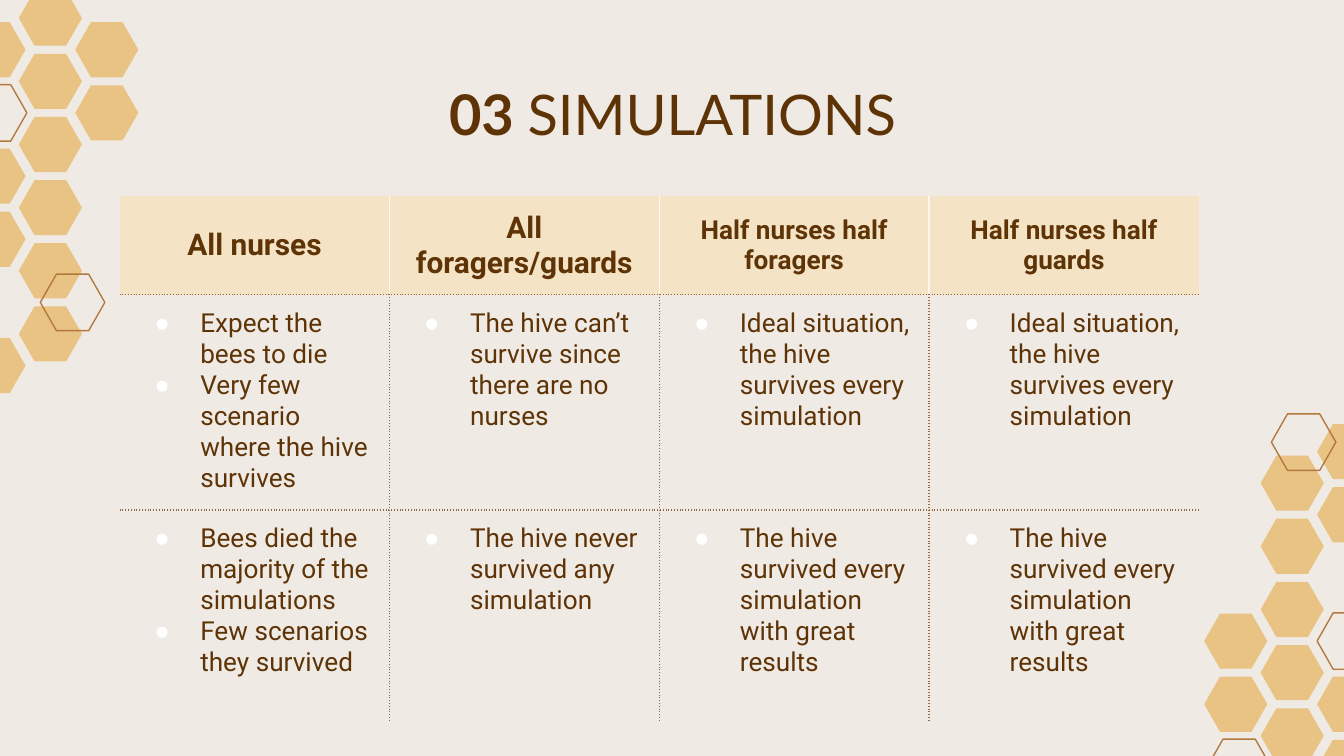
"""Build the bee simulations slide: title, results table and honeycomb corners."""
import lxml.etree
import pptx
import pptx.dml.color
import pptx.enum.text
import pptx.oxml.ns
import pptx.util

COLORS = {"page": "F0EAE5", "honey": "E9C383", "outline": "B3783D", "ink": "5E3407",
          "header": "F4E3C5", "divider": "FFF7EE", "dots": "916A43", "bullet": "FFFFFF"}
TITLE = [("03 ", True), ("SIMULATIONS", False)]
HEADERS = [("All nurses", 16), ("All foragers/guards", 16),
           ("Half nurses half foragers", 14), ("Half nurses half guards", 14)]
RESULTS = [
    [["Expect the bees to die", "Very few scenario where the hive survives"],
     ["The hive can’t survive since there are no nurses"],
     ["Ideal situation, the hive survives every simulation"],
     ["Ideal situation, the hive survives every simulation"]],
    [["Bees died the majority of the simulations", "Few scenarios they survived"],
     ["The hive never survived any simulation"],
     ["The hive survived every simulation with great results"],
     ["The hive survived every simulation with great results"]],
]
HONEYCOMBS = [
    {"origin": (0.14, -0.07),
     "cells": {-1: [0.5, 2.5, 3.5, 5.5], 0: [0, 1, 2, 3, 4, 5], 1: [0.5, 1.5]}},
    {"origin": (9.38, 3.39),
     "cells": {-1: [2.5, 3.5], 0: [0, 1, 2, 3, 4], 1: [-0.5, 0.5, 3.5, 4.5]}},
]
OUTLINED = [(-0.28, 0.63), (0.3, 2.04), (8.98, 5.5), (9.8, 4.56), (9.46, 3.08)]
COLUMN_PITCH, ROW_PITCH = 0.42, 0.47
HEXAGON = [(0, 0.5), (0.25, 0), (0.75, 0), (1, 0.5), (0.75, 1), (0.25, 1)]
SLIDE_WIDTH = 10
SLIDE_HEIGHT = SLIDE_WIDTH * 9 / 16
TABLE_LEFT, TABLE_TOP, TABLE_WIDTH = 0.89, 1.46, 8.03
ROW_HEIGHTS = [0.71, 1.58, 1.57]
MARGINS = {side: pptx.util.Inches(0.1)
           for side in ("margin_left", "margin_right", "margin_top", "margin_bottom")}


def inches(*values):
    return [pptx.util.Inches(value) for value in values]


def rgb(name):
    return pptx.dml.color.RGBColor.from_string(COLORS[name])


def apply(target, values):
    for name, value in values.items():
        setattr(target, name, value)


def add_span(para, text, font, size, bold):
    span = para.add_run()
    span.text = text
    apply(span.font, {"name": font, "size": pptx.util.Pt(size), "bold": bold})
    span.font.color.rgb = rgb("ink")


def add_element(parent, tag, **attributes):
    return lxml.etree.SubElement(parent, pptx.oxml.ns.qn(tag), attributes)


def add_hexagon(page, left, top, width, height, filled):
    corners = [tuple(inches(left + x * width, top + y * height)) for x, y in HEXAGON]
    builder = page.shapes.build_freeform(*corners[0])
    builder.add_line_segments(corners[1:], close=True)
    shape = builder.convert_to_shape()
    shape.shadow.inherit = False
    if filled:
        shape.fill.solid()
        shape.fill.fore_color.rgb = rgb("honey")
        shape.line.fill.background()
    else:
        shape.fill.background()
        shape.line.color.rgb = rgb("outline")
        shape.line.width = pptx.util.Pt(0.75)


def add_honeycombs(page):
    for comb in HONEYCOMBS:
        left, top = comb["origin"]
        for column, rows in comb["cells"].items():
            for row in rows:
                add_hexagon(page, left + column * COLUMN_PITCH, top + row * ROW_PITCH,
                            0.47, 0.41, True)
    for left, top in OUTLINED:
        add_hexagon(page, left, top, 0.48, 0.42, False)


def add_title(page):
    box = page.shapes.add_textbox(*inches(0.79, 0.49, 8.43, 0.63))
    apply(box.text_frame, {"word_wrap": True, **MARGINS})
    para = box.text_frame.paragraphs[0]
    para.alignment = pptx.enum.text.PP_ALIGN.CENTER
    for text, bold in TITLE:
        add_span(para, text, "Lato", 30, bold)


def set_borders(cell, row, column):
    side = "divider" if row == 0 else "dots"
    edges = {"a:lnL": side if column > 0 else None,
             "a:lnR": side if column < len(HEADERS) - 1 else None,
             "a:lnT": "dots" if row > 0 else None,
             "a:lnB": "dots" if row < len(RESULTS) else None}
    properties = cell._tc.get_or_add_tcPr()
    for index, (tag, color) in enumerate(edges.items()):
        line = add_element(properties, tag, w=str(pptx.util.Pt(0.75)))
        properties.insert(index, line)
        if color is None:
            add_element(line, "a:noFill")
            continue
        add_element(add_element(line, "a:solidFill"), "a:srgbClr", val=COLORS[color])
        add_element(line, "a:prstDash", val="sysDot" if color == "dots" else "solid")


def add_bullet(para):
    properties = para._p.get_or_add_pPr()
    for name, value in {"marL": 0.5, "indent": -0.33}.items():
        properties.set(name, str(pptx.util.Inches(value)))
    add_element(add_element(properties, "a:buClr"), "a:srgbClr", val=COLORS["bullet"])
    add_element(properties, "a:buSzPct", val="55000")
    add_element(properties, "a:buFont", typeface="Roboto")
    add_element(properties, "a:buChar", char="●")


def fill_header(cell, text, size):
    cell.fill.solid()
    cell.fill.fore_color.rgb = rgb("header")
    cell.vertical_anchor = pptx.enum.text.MSO_ANCHOR.MIDDLE
    para = cell.text_frame.paragraphs[0]
    para.alignment = pptx.enum.text.PP_ALIGN.CENTER
    add_span(para, text, "Roboto", size, True)


def fill_results(cell, items):
    cell.fill.background()
    frame = cell.text_frame
    for index, text in enumerate(items):
        para = frame.add_paragraph() if index else frame.paragraphs[0]
        add_bullet(para)
        add_span(para, text, "Roboto", 14, False)


def add_results_table(page):
    frame = page.shapes.add_table(
        len(ROW_HEIGHTS), len(HEADERS),
        *inches(TABLE_LEFT, TABLE_TOP, TABLE_WIDTH, sum(ROW_HEIGHTS)))
    table = frame.table
    apply(table, {"first_row": False, "horz_banding": False})
    for row, height in enumerate(ROW_HEIGHTS):
        table.rows[row].height = pptx.util.Inches(height)
        for column, (heading, size) in enumerate(HEADERS):
            cell = table.cell(row, column)
            apply(cell, MARGINS)
            if row == 0:
                fill_header(cell, heading, size)
            else:
                fill_results(cell, RESULTS[row - 1][column])
            set_borders(cell, row, column)


def main():
    deck = pptx.Presentation()
    apply(deck, {"slide_width": pptx.util.Inches(SLIDE_WIDTH),
                 "slide_height": pptx.util.Inches(SLIDE_HEIGHT)})
    page = deck.slides.add_slide(deck.slide_layouts[6])
    page.background.fill.solid()
    page.background.fill.fore_color.rgb = rgb("page")
    add_honeycombs(page)
    add_title(page)
    add_results_table(page)
    deck.save("out.pptx")


if __name__ == "__main__":
    main()
